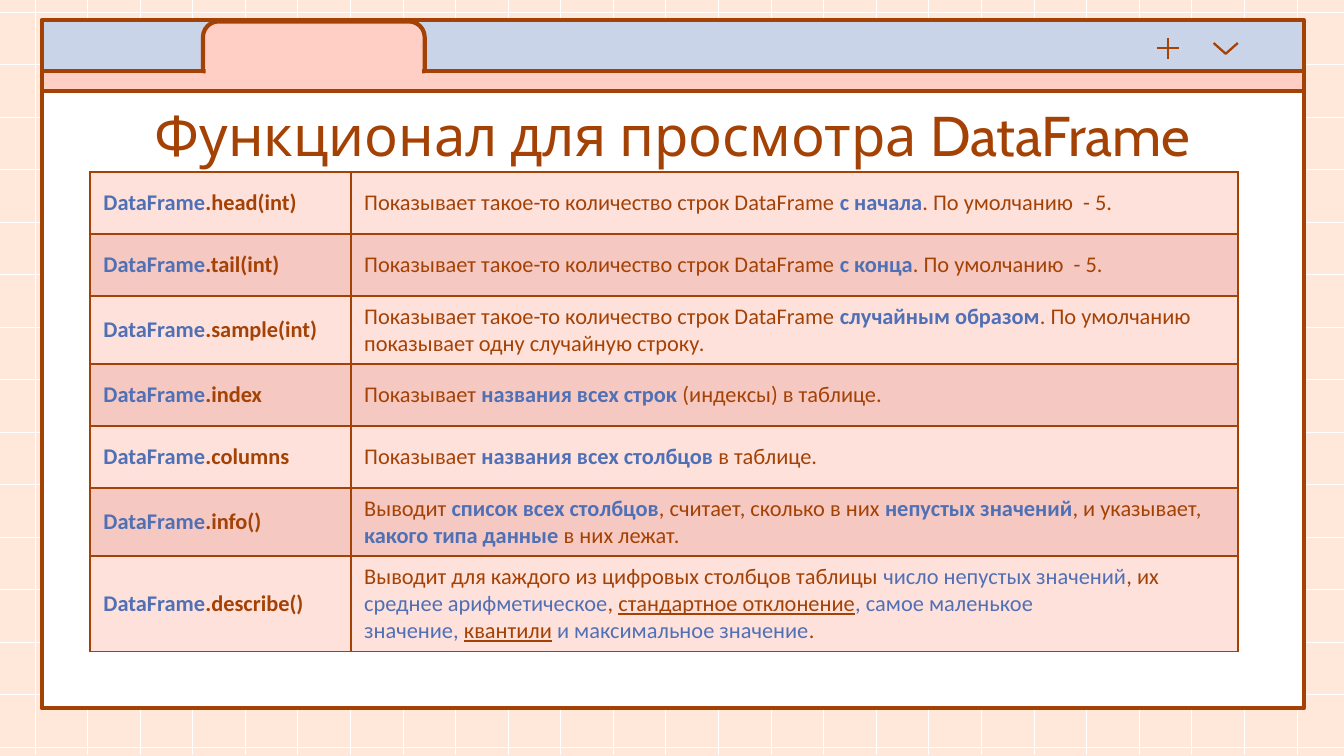
from lxml.etree import SubElement
from pptx import Presentation
from pptx.dml.color import RGBColor
from pptx.enum.shapes import MSO_CONNECTOR, MSO_SHAPE
from pptx.enum.text import MSO_ANCHOR, PP_ALIGN
from pptx.oxml.ns import qn
from pptx.util import Inches, Pt

COLORS = {
    "page": "FFE8DA", "white": "FFFFFF", "brown": "A44205", "bar": "CAD4E9",
    "tab": "FFCFC6", "accent": "5070B5", "light_row": "FFE1DC", "dark_row": "F5C8C2",
}

# Run styles: (colour, bold, underlined)
STYLES = {
    "plain": ("brown", False, False),
    "method": ("brown", True, False),
    "key": ("accent", True, False),
    "soft": ("accent", False, False),
    "under": ("brown", False, True),
}

NBSP = chr(160)  # keeps neighbouring words on one line
COUNT = ("Показывает такое-то количество строк DataFrame ", "plain")
SHOWS = ("Показывает ", "plain")
METHODS = [
    (".head(int)", [COUNT, ("с начала", "key"), (". По умолчанию  - 5.", "plain")]),
    (".tail(int)", [COUNT, ("с конца", "key"), (". По умолчанию  - 5.", "plain")]),
    (".sample(int)", [COUNT, ("случайным образом", "key"),
                      (". По умолчанию показывает одну случайную строку.", "plain")]),
    (".index", [SHOWS, ("названия всех строк ", "key"), ("(индексы) в таблице.", "plain")]),
    (".columns", [SHOWS, ("названия всех столбцов ", "key"), ("в таблице.", "plain")]),
    (".info()", [("Выводит ", "plain"), ("список всех столбцов", "key"),
                 (", считает, сколько в них ", "plain"), ("непустых значений", "key"),
                 (", и указывает, ", "plain"), ("какого типа данные ", "key"),
                 ("в них лежат.", "plain")]),
    (".describe()", [("Выводит для каждого из цифровых столбцов таблицы ", "plain"),
                     ("число непустых значений", "soft"), (", их ", "plain"),
                     ("среднее арифметическое", "soft"), ("," + NBSP, "plain"),
                     ("стандартное отклонение", "under"),
                     (", самое маленькое значение," + NBSP, "soft"),
                     ("квантили", "under"),
                     (NBSP + "и максимальное значение", "soft"), (".", "plain")]),
]


def rgb(name):
    return RGBColor.from_string(COLORS[name])


def add_line(slide, x1, y1, x2, y2, color, width):
    line = slide.shapes.add_connector(
        MSO_CONNECTOR.STRAIGHT, Inches(x1), Inches(y1), Inches(x2), Inches(y2))
    line.line.color.rgb = rgb(color)
    line.line.width = Pt(width)
    SubElement(line.element.spPr, qn("a:effectLst"))


def add_panel(slide, box, fill, kind=MSO_SHAPE.RECTANGLE, outlined=True):
    panel = slide.shapes.add_shape(kind, *map(Inches, box))
    panel.shadow.inherit = False
    panel.fill.solid()
    panel.fill.fore_color.rgb = rgb(fill)
    if outlined:
        panel.line.color.rgb = rgb("brown")
        panel.line.width = Pt(2.25)
    else:
        panel.line.fill.background()
    return panel


def add_grid(slide, box):
    left, top, width, height = box
    columns, rows = 24, 14
    x_step, y_step = (9.65 - 0.26) / columns, (5.56 - 0.09) / rows
    for column in range(columns + 1):
        x = left + 0.26 + column * x_step
        add_line(slide, x, top, x, top + height, "white", 0.45)
    for row in range(rows + 1):
        y = top + 0.09 + row * y_step
        add_line(slide, left, y, left + width, y, "white", 0.45)


def add_browser_window(slide, box):
    left, top, width, height = box
    bar, strip = 0.38, 0.15
    header = bar + strip
    add_panel(slide, (left, top + header, width, height - header), "white")
    add_panel(slide, (left, top, width, bar), "bar")
    add_panel(slide, (left, top + bar, width, strip), "tab")

    icon_y = top + 0.21
    plus_x, chevron_x, arm = left + 8.38, left + 8.81, 0.08
    add_line(slide, plus_x, icon_y - arm, plus_x, icon_y + arm, "brown", 1.21)
    add_line(slide, plus_x - arm, icon_y, plus_x + arm, icon_y, "brown", 1.21)
    outline = slide.shapes.build_freeform(
        Inches(chevron_x - 0.09), Inches(icon_y - 0.04))
    outline.add_line_segments(
        [(Inches(chevron_x), Inches(icon_y + 0.04)),
         (Inches(chevron_x + 0.09), Inches(icon_y - 0.04))], close=False)
    chevron = outline.convert_to_shape()
    chevron.shadow.inherit = False
    chevron.fill.background()
    chevron.line.color.rgb = rgb("brown")
    chevron.line.width = Pt(1.21)

    tab = add_panel(slide, (left + 1.2, top + 0.01, 1.65, 0.37), "tab",
                    MSO_SHAPE.ROUND_2_SAME_RECTANGLE)
    tab.adjustments[0] = 0.317
    add_panel(slide, (left + 1.22, top + 0.26, 1.61, 0.15), "tab", outlined=False)


def place_title(slide, box):
    title = slide.shapes.title
    title.element.getparent().append(title.element)  # in front of the window
    title.left, title.top, title.width, title.height = map(Inches, box)
    frame = title.text_frame
    frame.text = "Функционал для просмотра DataFrame"
    frame.word_wrap = True
    frame.vertical_anchor = MSO_ANCHOR.TOP
    frame.margin_left = frame.margin_right = Inches(0.1)
    frame.margin_top = frame.margin_bottom = Inches(0.1)
    paragraph = frame.paragraphs[0]
    paragraph.alignment = PP_ALIGN.CENTER
    font = paragraph.runs[0].font
    font.name, font.size, font.color.rgb = "Cabin", Pt(30), rgb("brown")


def add_borders(cell):
    properties = cell._tc.get_or_add_tcPr()
    for index, side in enumerate(("lnL", "lnR", "lnT", "lnB")):
        border = properties.makeelement(qn(f"a:{side}"), {"w": str(Pt(1))})
        fill = SubElement(border, qn("a:solidFill"))
        SubElement(fill, qn("a:srgbClr"), val=COLORS["brown"])
        properties.insert(index, border)


def fill_cell(cell, segments, fill):
    cell.fill.solid()
    cell.fill.fore_color.rgb = rgb(fill)
    cell.vertical_anchor = MSO_ANCHOR.MIDDLE
    add_borders(cell)
    for text, style in segments:
        run = cell.text_frame.paragraphs[0].add_run()
        run.text = text
        color, bold, underlined = STYLES[style]
        font = run.font
        font.name, font.size, font.color.rgb = "Calibri", Pt(12), rgb(color)
        font.bold, font.underline = bold, underlined


def add_method_table(slide, box):
    left, top, width, height = box
    table = slide.shapes.add_table(len(METHODS), 2, *map(Inches, box)).table
    table.first_row = table.horz_banding = False
    table.columns[0].width = Inches(1.94)
    table.columns[1].width = Inches(width - 1.94)
    for index, (method, description) in enumerate(METHODS):
        table.rows[index].height = Inches(height / len(METHODS))
        fill = "dark_row" if index % 2 else "light_row"
        name = [("DataFrame", "key"), (method, "method")]
        fill_cell(table.cell(index, 0), name, fill)
        fill_cell(table.cell(index, 1), description, fill)


def main():
    presentation = Presentation()
    presentation.slide_width = Inches(10)
    presentation.slide_height = Inches(10) * 9 // 16
    slide = presentation.slides.add_slide(presentation.slide_layouts[5])
    slide.background.fill.solid()
    slide.background.fill.fore_color.rgb = rgb("page")
    add_grid(slide, (0, 0, 10, 5.62))
    add_browser_window(slide, (0.31, 0.15, 9.39, 5.12))
    place_title(slide, (0.79, 0.65, 8.43, 0.63))
    add_method_table(slide, (0.67, 1.28, 8.54, 3.23))
    presentation.save("out.pptx")


if __name__ == "__main__":
    main()
